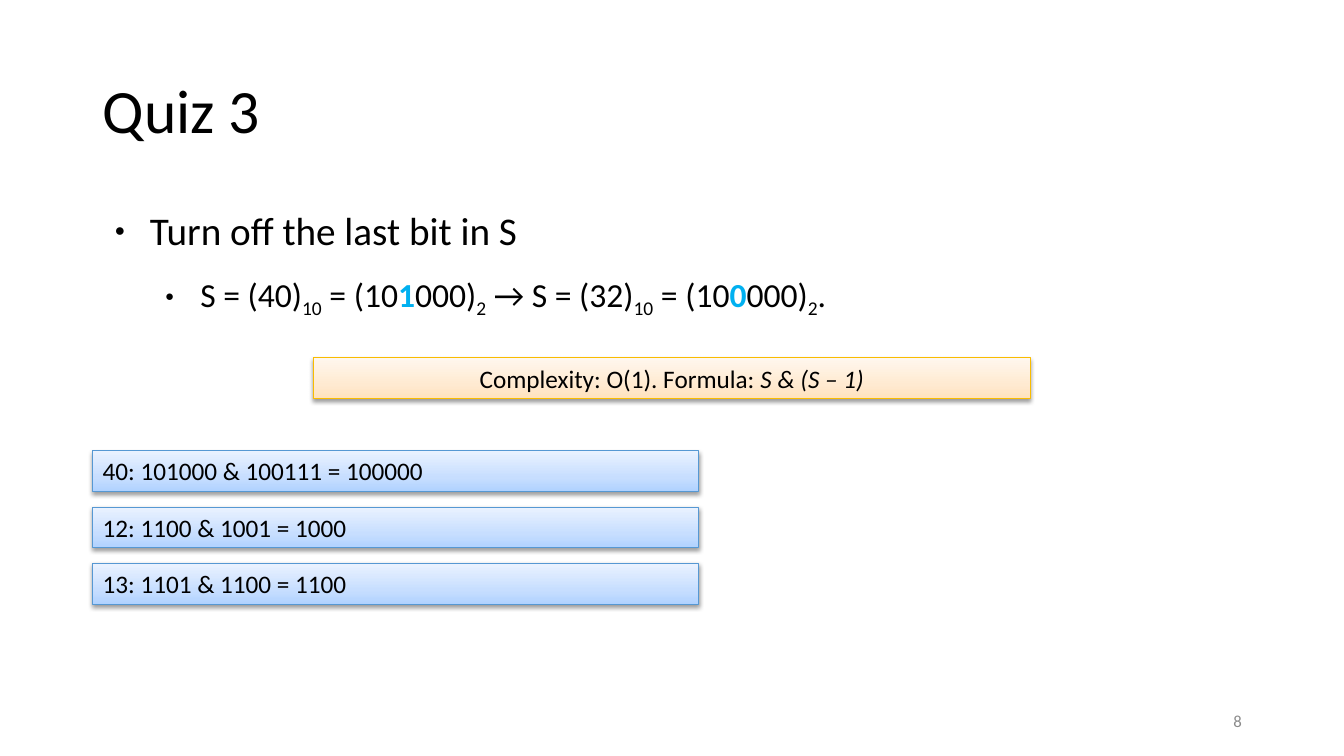
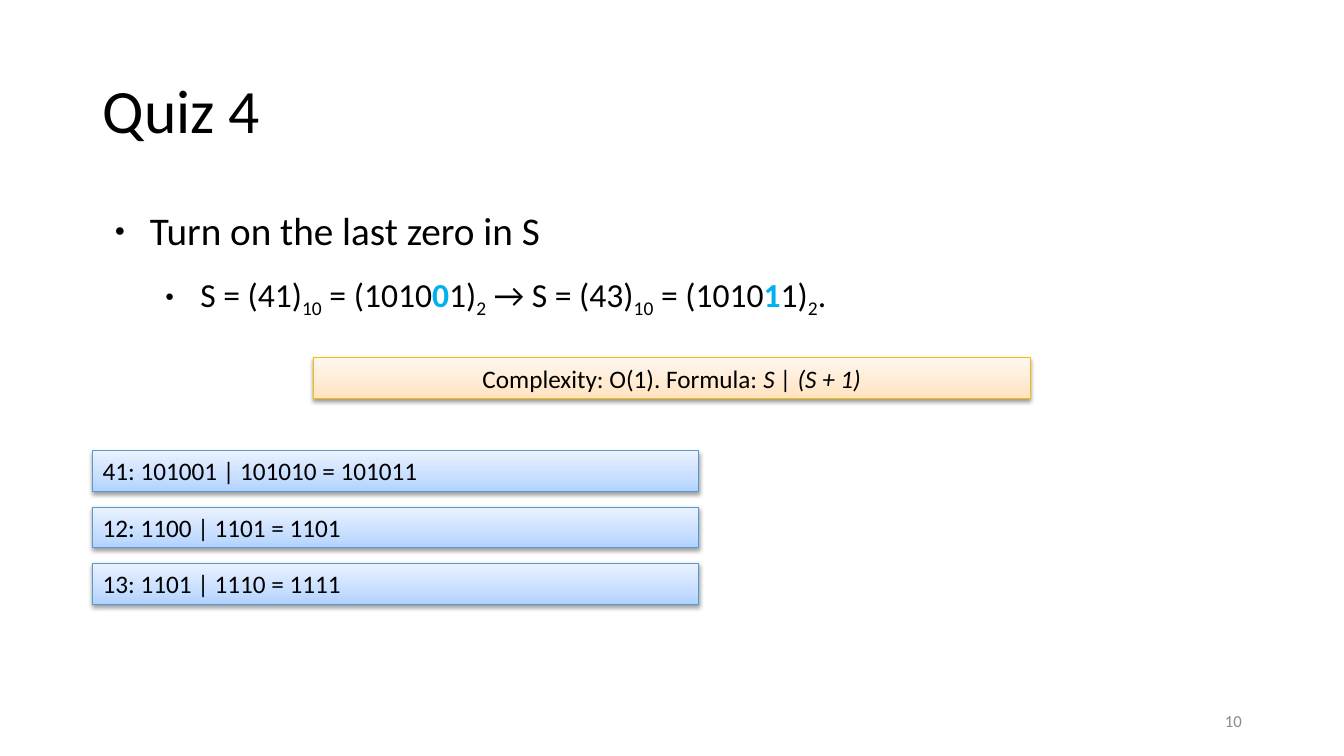
from dataclasses import dataclass

from lxml import etree
from pptx import Presentation
from pptx.dml.color import RGBColor
from pptx.enum.shapes import MSO_SHAPE
from pptx.enum.text import MSO_ANCHOR, MSO_AUTO_SIZE, PP_ALIGN
from pptx.oxml.ns import qn
from pptx.util import Cm, Pt

RECTANGLE = MSO_SHAPE.RECTANGLE
MIDDLE, TOP = MSO_ANCHOR.MIDDLE, MSO_ANCHOR.TOP
NO_FIT, GROW = MSO_AUTO_SIZE.NONE, MSO_AUTO_SIZE.SHAPE_TO_FIT_TEXT
LEFT, CENTER, RIGHT = PP_ALIGN.LEFT, PP_ALIGN.CENTER, PP_ALIGN.RIGHT
TITLE_ONLY = 5


@dataclass(frozen=True)
class Palette:
    line: str
    stops: tuple[tuple[int, str], ...]


@dataclass(frozen=True)
class Theme:
    font: str = "Calibri"
    ink: str = "000000"
    accent: str = "00B0F0"
    muted: str = "8B8B8B"
    title_size: int = 44
    task_size: int = 28
    example_size: int = 24
    panel_size: int = 18
    number_size: int = 12
    orange: Palette = Palette("F9BC00", ((0, "FFE2BD"), (35, "FFEAD1"), (100, "FFF7EE")))
    blue: Palette = Palette("5698D3", ((0, "B0D2FF"), (35, "C7DEFF"), (100, "EAF2FF")))


THEME = Theme()


@dataclass(frozen=True)
class Area:
    left: float
    top: float
    width: float
    height: float

    def lengths(self) -> tuple[Cm, Cm, Cm, Cm]:
        return Cm(self.left), Cm(self.top), Cm(self.width), Cm(self.height)


TITLE_AREA = Area(2.34, 1.02, 29.21, 3.68)
BODY_AREA = Area(2.34, 5.08, 29.21, 12.09)
NUMBER_AREA = Area(23.93, 17.65, 7.62, 1.02)
FORMULA_AREA = Area(7.9, 9.02, 18.06, 1.03)
FIRST_CHECK = Area(2.34, 11.36, 15.27, 1.03)
CHECK_PITCH = 1.42


@dataclass(frozen=True)
class Span:
    text: str
    color: str = THEME.ink
    bold: bool = False
    italic: bool = False
    subscript: bool = False


@dataclass(frozen=True)
class Value:
    decimal: str
    head: str
    bit: str
    tail: str

    def spans(self) -> list[Span]:
        return [
            Span(f"S = ({self.decimal})"),
            Span("10", subscript=True),
            Span(f" = ({self.head}"),
            Span(self.bit, color=THEME.accent, bold=True),
            Span(f"{self.tail})"),
            Span("2", subscript=True),
        ]


@dataclass(frozen=True)
class Quiz:
    title: str
    number: str
    task: str
    before: Value
    after: Value
    formula: str
    checks: tuple[str, ...]


QUIZZES = (
    Quiz("Quiz 3", "8", "Turn off the last bit in S",
         Value("40", "10", "1", "000"), Value("32", "10", "0", "000"), "S & (S – 1)",
         ("40: 101000 & 100111 = 100000", "12: 1100 & 1001 = 1000", "13: 1101 & 1100 = 1100")),
    Quiz("Quiz 4", "10", "Turn on the last zero in S",
         Value("41", "1010", "0", "1"), Value("43", "1010", "1", "1"), "S | (S + 1)",
         ("41: 101001 | 101010 = 101011", "12: 1100 | 1101 = 1101", "13: 1101 | 1110 = 1111")),
)


def write(para, spans: list[Span], size: int, align=LEFT) -> None:
    para.alignment = align
    for span in spans:
        run = para.add_run()
        run.text = span.text
        font = run.font
        font.name, font.size = THEME.font, Pt(size)
        font.bold, font.italic = span.bold, span.italic
        font.color.rgb = RGBColor.from_string(span.color)
        if span.subscript:
            run._r.get_or_add_rPr().set("baseline", "-25000")


def add_bullet(para, margin: float, hanging: float = 0.89) -> None:
    properties = para._p.get_or_add_pPr()
    properties.set("marL", str(Cm(margin)))
    properties.set("indent", str(-Cm(hanging)))
    color = etree.SubElement(properties, qn("a:buClr"))
    etree.SubElement(color, qn("a:srgbClr"), val=THEME.ink)
    etree.SubElement(properties, qn("a:buSzPct"), val="45000")
    etree.SubElement(properties, qn("a:buFont"), typeface="Arial")
    etree.SubElement(properties, qn("a:buChar"), char="●")


def add_text_box(slide, area: Area, anchor):
    frame = slide.shapes.add_textbox(*area.lengths()).text_frame
    frame.word_wrap = True
    frame.vertical_anchor = anchor
    return frame


def add_title(slide, text: str) -> None:
    title = slide.shapes.title
    title.left, title.top, title.width, title.height = TITLE_AREA.lengths()
    frame = title.text_frame
    frame.auto_size, frame.vertical_anchor = NO_FIT, MIDDLE
    para = frame.paragraphs[0]
    para.line_spacing = 0.9
    write(para, [Span(text)], THEME.title_size)


def add_body(slide, quiz: Quiz) -> None:
    frame = add_text_box(slide, BODY_AREA, TOP)
    task = frame.paragraphs[0]
    add_bullet(task, 1.19)
    write(task, [Span(quiz.task)], THEME.task_size)
    example = frame.add_paragraph()
    example.level = 1
    add_bullet(example, 2.46)
    example.space_before = Pt(14.2)
    spans = [*quiz.before.spans(), Span(" → "), *quiz.after.spans(), Span(".")]
    write(example, spans, THEME.example_size)


def paint(shape, palette: Palette) -> None:
    shape.fill.gradient()
    shape.fill.gradient_angle = 90
    shape.line.color.rgb = RGBColor.from_string(palette.line)
    shape.line.width = Pt(0.75)
    shape.shadow.inherit = False
    properties = shape._element.spPr
    stops = properties.find(f"{qn('a:gradFill')}/{qn('a:gsLst')}")
    for stop in list(stops):
        stops.remove(stop)
    for position, color in palette.stops:
        stop = etree.SubElement(stops, qn("a:gs"), pos=str(position * 1000))
        etree.SubElement(stop, qn("a:srgbClr"), val=color)
    shadow = etree.SubElement(
        properties.find(qn("a:effectLst")), qn("a:outerShdw"),
        blurRad=str(Pt(3.1)), dist=str(Pt(1.6)), dir="5400000", rotWithShape="0")
    shade = etree.SubElement(shadow, qn("a:srgbClr"), val=THEME.ink)
    etree.SubElement(shade, qn("a:alpha"), val="38000")


def add_panel(slide, area: Area, palette: Palette, spans: list[Span], align=LEFT) -> None:
    panel = slide.shapes.add_shape(RECTANGLE, *area.lengths())
    paint(panel, palette)
    frame = panel.text_frame
    frame.word_wrap, frame.auto_size, frame.vertical_anchor = True, GROW, TOP
    write(frame.paragraphs[0], spans, THEME.panel_size, align)


def add_quiz(deck, quiz: Quiz) -> None:
    slide = deck.slides.add_slide(deck.slide_layouts[TITLE_ONLY])
    add_title(slide, quiz.title)
    add_body(slide, quiz)
    number = add_text_box(slide, NUMBER_AREA, MIDDLE)
    write(number.paragraphs[0], [Span(quiz.number, color=THEME.muted)], THEME.number_size, RIGHT)
    formula = [Span("Complexity: O(1). Formula: "), Span(quiz.formula, italic=True)]
    add_panel(slide, FORMULA_AREA, THEME.orange, formula, CENTER)
    for row, check in enumerate(quiz.checks):
        top = FIRST_CHECK.top + row * CHECK_PITCH
        area = Area(FIRST_CHECK.left, top, FIRST_CHECK.width, FIRST_CHECK.height)
        add_panel(slide, area, THEME.blue, [Span(check)])


def main() -> None:
    deck = Presentation()
    deck.slide_width, deck.slide_height = Cm(33.87), Cm(19.05)
    for quiz in QUIZZES:
        add_quiz(deck, quiz)
    deck.save("out.pptx")


if __name__ == "__main__":
    main()
